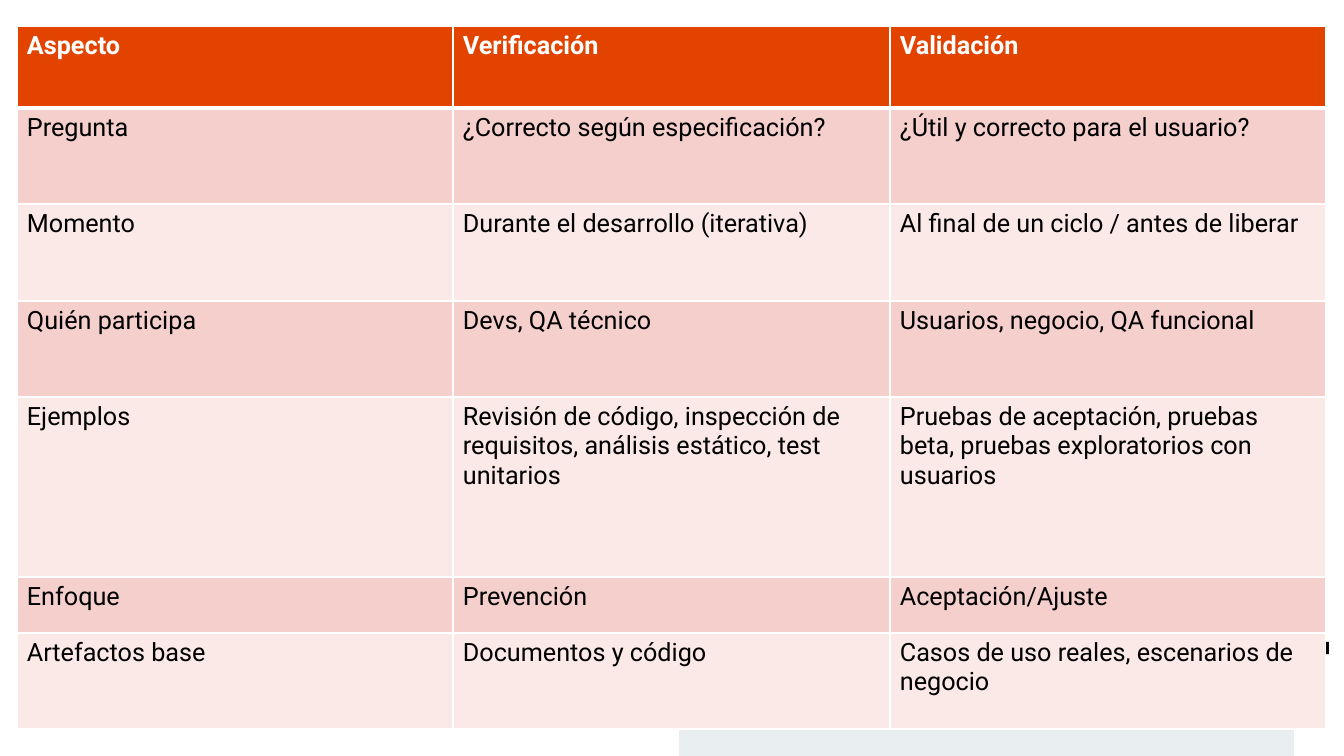
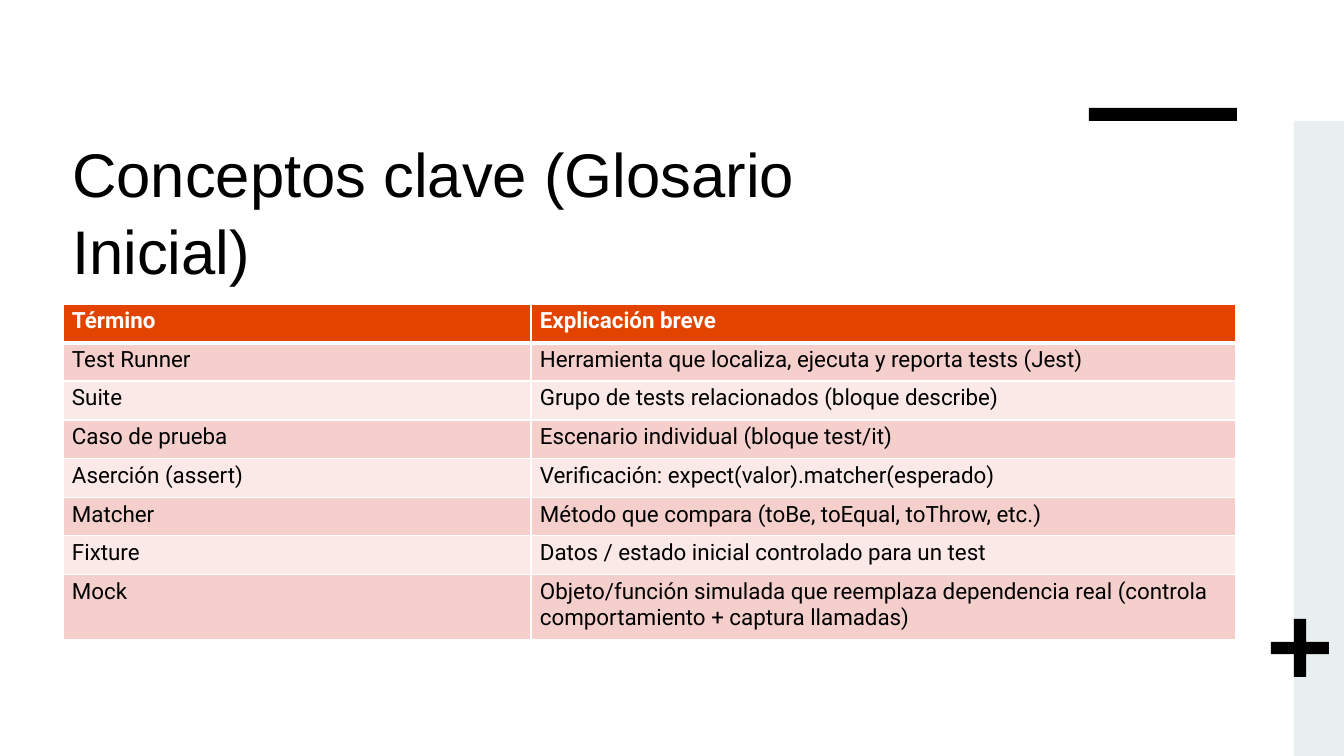
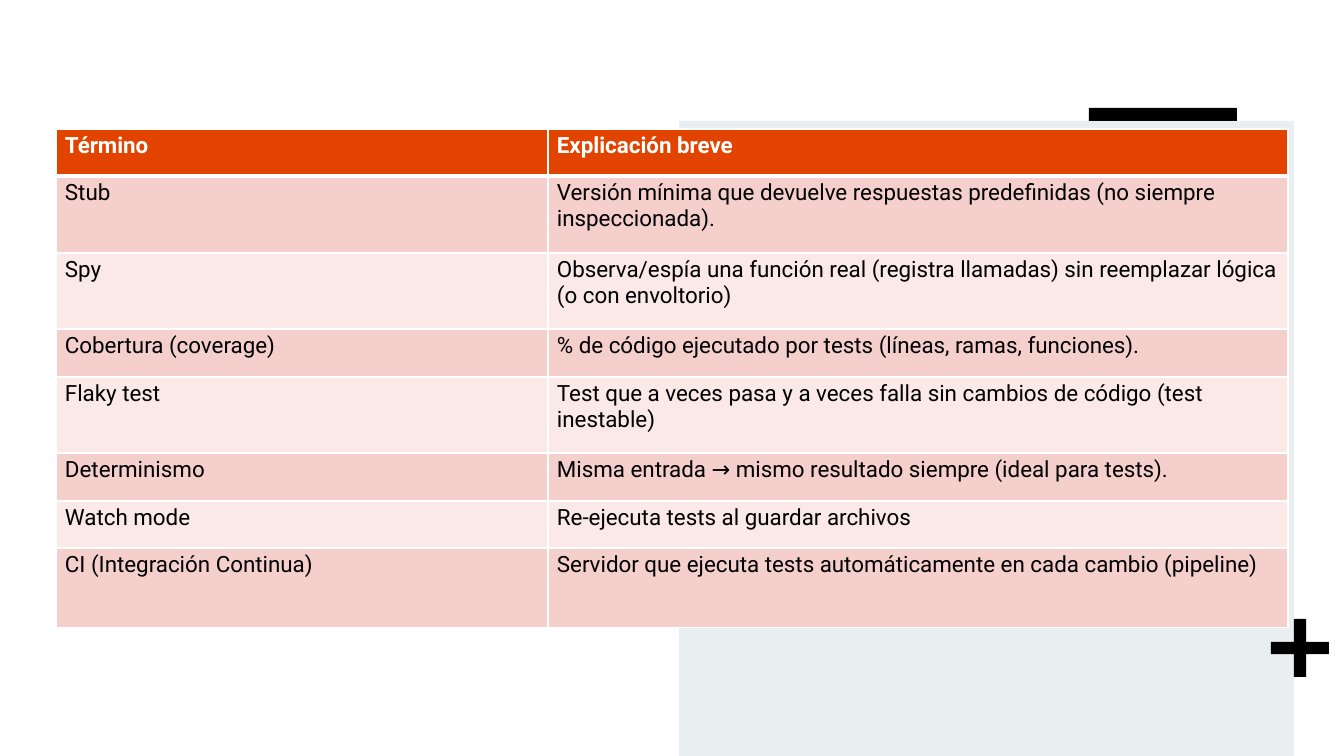
from lxml import etree
from pptx import Presentation
from pptx.dml.color import RGBColor
from pptx.enum.shapes import MSO_SHAPE as Shape
from pptx.enum.text import MSO_ANCHOR as Anchor, MSO_AUTO_SIZE as AutoSize, PP_ALIGN as Align
from pptx.oxml.ns import qn
from pptx.util import Emu, Pt

WIDTH, HEIGHT = 1344, 756
EMU_PER_PX = 12192000 / WIDTH
TITLE_ONLY, BLANK = 5, 6

COLORS = {
    "header": "E24400",
    "odd": "F4CFCC",
    "even": "FAE9E7",
    "panel": "E9EFF1",
    "ink": "000000",
    "paper": "FFFFFF",
}

VERIFICATION_VS_VALIDATION = [
    ("Aspecto", "Verificación", "Validación"),
    ("Pregunta", "¿Correcto según especificación?", "¿Útil y correcto para el usuario?"),
    ("Momento", "Durante el desarrollo (iterativa)", "Al final de un ciclo / antes de liberar"),
    ("Quién participa", "Devs, QA técnico", "Usuarios, negocio, QA funcional"),
    ("Ejemplos",
     "Revisión de código, inspección de requisitos, análisis estático, test unitarios",
     "Pruebas de aceptación, pruebas beta, pruebas exploratorios con usuarios"),
    ("Enfoque", "Prevención", "Aceptación/Ajuste"),
    ("Artefactos base", "Documentos y código", "Casos de uso reales, escenarios de negocio"),
]

GLOSSARY_HEADER = ("Término", "Explicación breve")
BASIC_TERMS = [
    GLOSSARY_HEADER,
    ("Test Runner", "Herramienta que localiza, ejecuta y reporta tests (Jest)"),
    ("Suite", "Grupo de tests relacionados (bloque describe)"),
    ("Caso de prueba", "Escenario individual (bloque test/it)"),
    ("Aserción (assert)", "Verificación: expect(valor).matcher(esperado)"),
    ("Matcher", "Método que compara (toBe, toEqual, toThrow, etc.)"),
    ("Fixture", "Datos / estado inicial controlado para un test"),
    ("Mock", "Objeto/función simulada que reemplaza dependencia real "
             "(controla comportamiento + captura llamadas)"),
]
FURTHER_TERMS = [
    GLOSSARY_HEADER,
    ("Stub", "Versión mínima que devuelve respuestas predefinidas (no siempre inspeccionada)."),
    ("Spy", "Observa/espía una función real (registra llamadas) sin reemplazar lógica "
            "(o con envoltorio)"),
    ("Cobertura (coverage)", "% de código ejecutado por tests (líneas, ramas, funciones)."),
    ("Flaky test", "Test que a veces pasa y a veces falla sin cambios de código (test inestable)"),
    ("Determinismo", "Misma entrada → mismo resultado siempre (ideal para tests)."),
    ("Watch mode", "Re-ejecuta tests al guardar archivos"),
    ("CI (Integración Continua)",
     "Servidor que ejecuta tests automáticamente en cada cambio (pipeline)"),
]


def px(length):
    return Emu(round(length * EMU_PER_PX))


def rgb(color):
    return RGBColor.from_string(COLORS[color])


def apply(target, values):
    for name, value in values.items():
        setattr(target, name, value)


class Deck:
    """Holds the shared style and the slide being built."""

    title_font = {"name": "Arial", "size": Pt(44), "bold": False}
    table_font = "Roboto"

    def __init__(self):
        self.presentation = Presentation()
        apply(self.presentation, {"slide_width": px(WIDTH), "slide_height": px(HEIGHT)})
        self.slide = None

    def add_slide(self, layout):
        self.slide = self.presentation.slides.add_slide(
            self.presentation.slide_layouts[layout])

    def title(self, text, left, top, width, height):
        heading = self.slide.shapes.title
        apply(heading, {"left": px(left), "top": px(top),
                        "width": px(width), "height": px(height)})
        frame = heading.text_frame
        frame.text = text
        apply(frame, {"word_wrap": True, "auto_size": AutoSize.NONE,
                      "vertical_anchor": Anchor.BOTTOM})
        paragraph = frame.paragraphs[0]
        apply(paragraph, {"alignment": Align.LEFT, "line_spacing": 1.05})
        apply(paragraph.font, self.title_font)
        paragraph.font.color.rgb = rgb("ink")

    def block(self, preset, color, left, top, width, height):
        shape = self.slide.shapes.add_shape(preset, px(left), px(top), px(width), px(height))
        shape.shadow.inherit = False
        shape.fill.solid()
        shape.fill.fore_color.rgb = rgb(color)
        shape.line.fill.background()
        return shape

    def decoration(self, panel_left, panel_right, bar=True):
        """Draws the grey panel, the plus sign and, where it shows, the black bar."""
        self.block(Shape.RECTANGLE, "panel", panel_left, 121,
                   panel_right - panel_left, HEIGHT - 121)
        plus = self.block(Shape.CROSS, "ink", 1271, 619, 58, 58)
        plus.adjustments[0] = 0.395
        if bar:
            self.block(Shape.RECTANGLE, "ink", 1089, 108, 148, 13)

    def table(self, rows, left, top, widths, heights, size, margins):
        grid = self.slide.shapes.add_table(
            len(rows), len(widths), px(left), px(top), px(sum(widths)), px(sum(heights))).table
        grid.horz_banding = False
        for column, width in zip(grid.columns, widths):
            column.width = px(width)
        for row, height in zip(grid.rows, heights):
            row.height = px(height)
        for row_index, texts in enumerate(rows):
            for column_index, text in enumerate(texts):
                self.cell(grid.cell(row_index, column_index), text, row_index, size, margins)

    def cell(self, cell, text, row_index, size, margins):
        is_header = row_index == 0
        side, edge = map(px, margins)
        apply(cell, {"text": text, "margin_left": side, "margin_right": side,
                     "margin_top": edge, "margin_bottom": edge,
                     "vertical_anchor": Anchor.TOP})
        cell.fill.solid()
        cell.fill.fore_color.rgb = rgb("header" if is_header else "odd" if row_index % 2 else "even")
        font = cell.text_frame.paragraphs[0].runs[0].font
        apply(font, {"name": self.table_font, "size": Pt(size), "bold": is_header})
        font.color.rgb = rgb("paper" if is_header else "ink")
        self.borders(cell, top=3 if row_index == 1 else 1, bottom=3 if is_header else 1)

    @staticmethod
    def borders(cell, top, bottom):
        properties = cell._tc.get_or_add_tcPr()
        sides = {"a:lnL": 1, "a:lnR": 1, "a:lnT": top, "a:lnB": bottom}
        for position, (tag, points) in enumerate(sides.items()):
            line = etree.Element(qn(tag), w=str(Pt(points)))
            fill = etree.SubElement(line, qn("a:solidFill"))
            etree.SubElement(fill, qn("a:srgbClr"), val=COLORS["paper"])
            properties.insert(position, line)


def main():
    deck = Deck()

    deck.add_slide(BLANK)
    deck.decoration(679, 1294, bar=False)
    deck.table(VERIFICATION_VS_VALIDATION, 17, 26, [436, 437, 436],
               [82, 96, 97, 96, 180, 56, 96], size=18, margins=(10, 5))

    deck.add_slide(TITLE_ONLY)
    deck.title("Conceptos clave (Glosario Inicial)", 62, 133, 911, 159)
    deck.decoration(1294, WIDTH)
    deck.table(BASIC_TERMS, 63, 304, [468, 705],
               [39, 38, 39, 39, 39, 38, 39, 65], size=16, margins=(9, 4))

    deck.add_slide(BLANK)
    deck.decoration(679, 1294)
    deck.table(FURTHER_TERMS, 56, 129, [492, 740],
               [47, 77, 76, 48, 76, 48, 47, 80], size=16, margins=(9, 4))

    deck.presentation.save("out.pptx")


if __name__ == "__main__":
    main()
